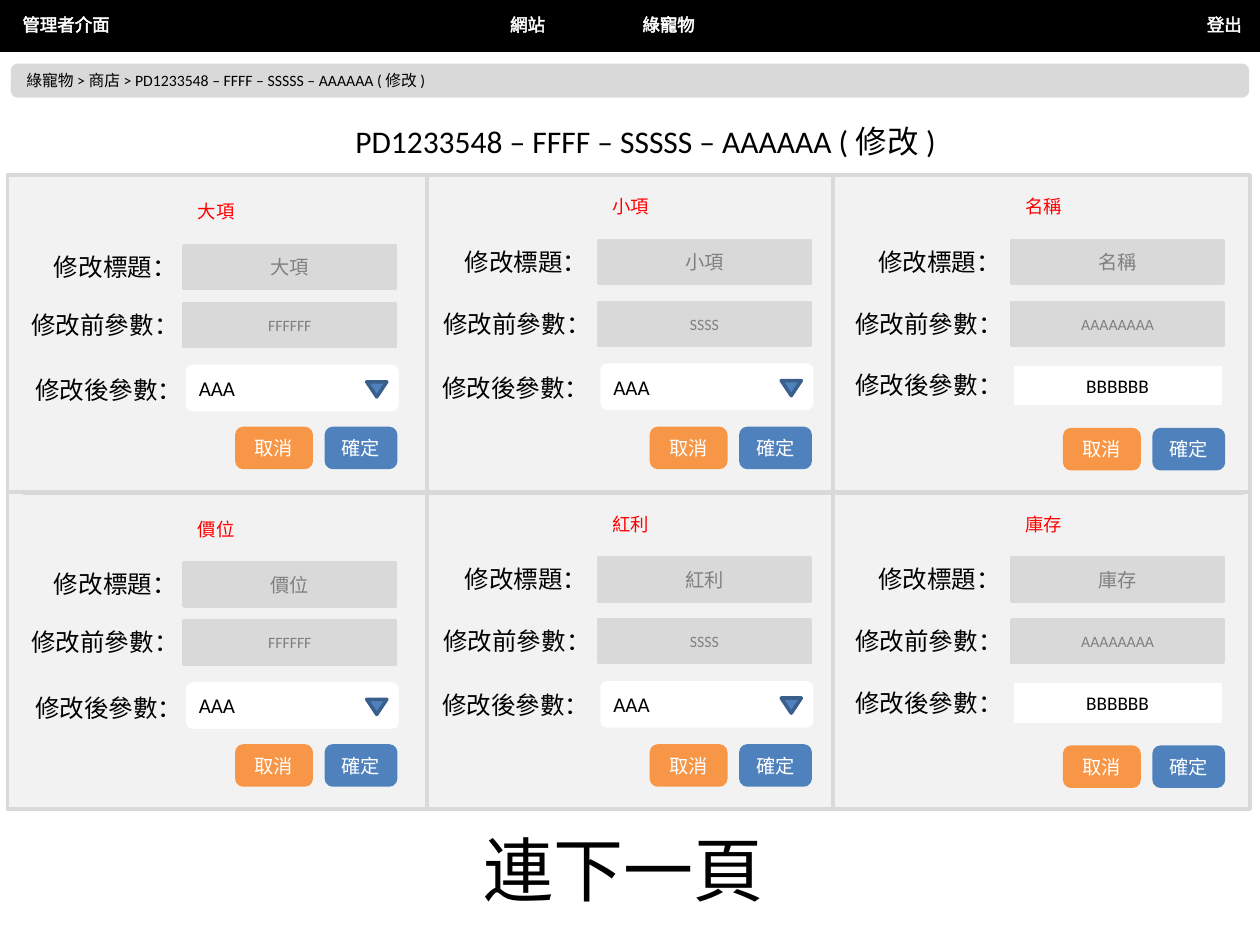
from pptx import Presentation
from pptx.dml.color import RGBColor
from pptx.enum.shapes import MSO_CONNECTOR, MSO_SHAPE
from pptx.enum.text import MSO_ANCHOR, MSO_AUTO_SIZE, PP_ALIGN
from pptx.oxml import parse_xml
from pptx.oxml.ns import nsdecls
from pptx.util import Pt

PX = 9144
FONT = "Calibri"
BLACK, WHITE, GREY, PALE = "000000", "FFFFFF", "D9D9D9", "F2F2F2"
MUTED, RED, BLUE, NAVY, ORANGE = "808080", "FF0000", "4F81BD", "3A5F8C", "F79646"
RECT, ROUND = MSO_SHAPE.RECTANGLE, MSO_SHAPE.ROUNDED_RECTANGLE
TITLE = "PD1233548 – FFFF – SSSSS – AAAAAA ( 修改 )"
PANEL_TOP, PANEL_TALL, ROW_STEP = 139, 251, 252

# left, width, field offset, drop, label offsets, old value, new value, is a list
COLUMNS = [
    (6, 333, 140, 4, (27, 9, 12), "FFFFFF", "AAA", True),
    (339, 322, 136, 0, (20, 3, 2), "SSSS", "AAA", True),
    (659, 333, 144, 0, (28, 10, 10), "AAAAAAAA", "BBBBBB", False),
]
ROWS = [("大項", "小項", "名稱"), ("價位", "紅利", "庫存")]


def color(code):
    """Turn a hex string into a colour."""
    return RGBColor.from_string(code)


def emu(*sizes):
    """Turn px lengths into EMU."""
    return [size * PX for size in sizes]


def write(frame, words, size, ink, align=PP_ALIGN.LEFT):
    """Write one run into a text frame and return it."""
    para = frame.paragraphs[0]
    para.alignment = align
    run = para.add_run()
    run.text = words
    run.font.size = Pt(size)
    run.font.name = FONT
    run.font.color.rgb = color(ink)
    return run


def label(slide, box, words, size, ink=BLACK, wrap=False, align=PP_ALIGN.LEFT):
    """Add a plain text box and return its run."""
    frame = slide.shapes.add_textbox(*emu(*box)).text_frame
    frame.word_wrap = wrap
    frame.auto_size = MSO_AUTO_SIZE.SHAPE_TO_FIT_TEXT
    return write(frame, words, size, ink, align)


def block(slide, kind, box, fill, edge, words="", size=11, ink=WHITE,
          align=PP_ALIGN.CENTER):
    """Add a filled shape, with text if there is any."""
    shape = slide.shapes.add_shape(kind, *emu(*box))
    shape.shadow.inherit = False
    shape.fill.solid()
    shape.fill.fore_color.rgb = color(fill)
    shape.line.color.rgb = color(edge)
    shape.line.width = Pt(2)
    if words:
        shape.text_frame.vertical_anchor = MSO_ANCHOR.MIDDLE
        write(shape.text_frame, words, size, ink, align)
    return shape


def rule(slide, left, top, right):
    """Draw a level grey line."""
    line = slide.shapes.add_connector(
        MSO_CONNECTOR.STRAIGHT, *emu(left, top, right, top))
    line.line.color.rgb = color(GREY)
    line.line.width = Pt(2.25)
    props = line._element.spPr
    props.append(parse_xml(f"<a:effectLst {nsdecls('a')}/>"))


def navbar(slide, left, top, wide, tall):
    """Draw the black bar and its outlined links."""
    block(slide, RECT, (left, top, wide, tall), BLACK, BLACK)
    links = [(8, 90, "管理者介面"), (395, 48, "網站"),
             (500, 62, "綠寵物"), (948, 48, "登出")]
    for shift, width, words in links:
        run = label(slide, (left + shift, top + 5, width, 27), words, 10, WHITE)
        run.font._element.insert(0, parse_xml(
            f'<a:ln {nsdecls("a")} w="9525"><a:solidFill>'
            f'<a:srgbClr val="{WHITE}"/></a:solidFill></a:ln>'))


def heading(slide, box):
    """Place the page title in its placeholder."""
    title = slide.shapes.title
    title.left, title.top, title.width, title.height = emu(*box)
    frame = title.text_frame
    frame.word_wrap = False
    frame.auto_size = MSO_AUTO_SIZE.NONE
    frame.vertical_anchor = MSO_ANCHOR.TOP
    write(frame, TITLE, 18, BLACK)


def chooser(slide, left, top, words):
    """Draw a drop-down list with its arrow."""
    block(slide, ROUND, (left, top, 172, 40), WHITE, PALE, words, 12, BLACK,
          PP_ALIGN.LEFT)
    arrow = block(slide, MSO_SHAPE.ISOSCELES_TRIANGLE,
                  (left + 145, top + 15, 16, 12), BLUE, NAVY)
    arrow.rotation = 180


def panel(slide, top, column, name):
    """Draw one edit form."""
    left, wide, shift, drop, inset, old, new, pick = column
    block(slide, RECT, (left, top, wide, PANEL_TALL), PALE, GREY)
    field = left + shift
    first, second, third = [left + gap for gap in inset]
    head, mid, low = top + 52 + drop, top + 101 + drop // 4, top + 150

    label(slide, (field - 109, top + 11 + drop, 269, 28), name, 10.5, RED,
          True, PP_ALIGN.CENTER)
    label(slide, (first, head, 118, 34), "修改標題：", 14)
    block(slide, RECT, (field, head, 168, 34), GREY, GREY, name, 11, MUTED)
    label(slide, (second, mid, 138, 34), "修改前參數：", 14)
    block(slide, RECT, (field, mid, 168, 34), GREY, GREY, old, 9, MUTED)
    label(slide, (third, low + 2 * pick + drop // 2, 131 if pick else 138, 34),
          "修改後參數：", 14, wrap=pick)
    if pick:
        chooser(slide, field, low - 2 + drop // 4, new)
    else:
        block(slide, RECT, (field, low, 168, 34), WHITE, PALE, new, 11, BLACK)

    foot = top + (201 if pick else 202)
    block(slide, ROUND, (field + 113, foot, 55, 31), BLUE, BLUE, "確定")
    block(slide, ROUND, (field + 42, foot, 59, 31), ORANGE, ORANGE, "取消")


def grid(slide, top):
    """Draw the rows of forms, right to left."""
    for row, names in enumerate(ROWS):
        edge = top + row * ROW_STEP
        for column, name in reversed(list(zip(COLUMNS, names))):
            panel(slide, edge, column, name)
        rule(slide, 18, edge, 987)


def main():
    """Build and save the slide."""
    deck = Presentation()
    deck.slide_width, deck.slide_height = emu(1000, 750)
    slide = deck.slides.add_slide(deck.slide_layouts[5])
    block(slide, ROUND, (10, 52, 980, 24), GREY, GREY,
          "綠寵物 > 商店 > " + TITLE, 9, BLACK, PP_ALIGN.LEFT)
    heading(slide, (272, 92, 504, 40))
    navbar(slide, 0, 1, 1000, 39)
    grid(slide, PANEL_TOP)
    label(slide, (374, 651, 245, 77), "連下一頁", 40)
    deck.save("out.pptx")


if __name__ == "__main__":
    main()
